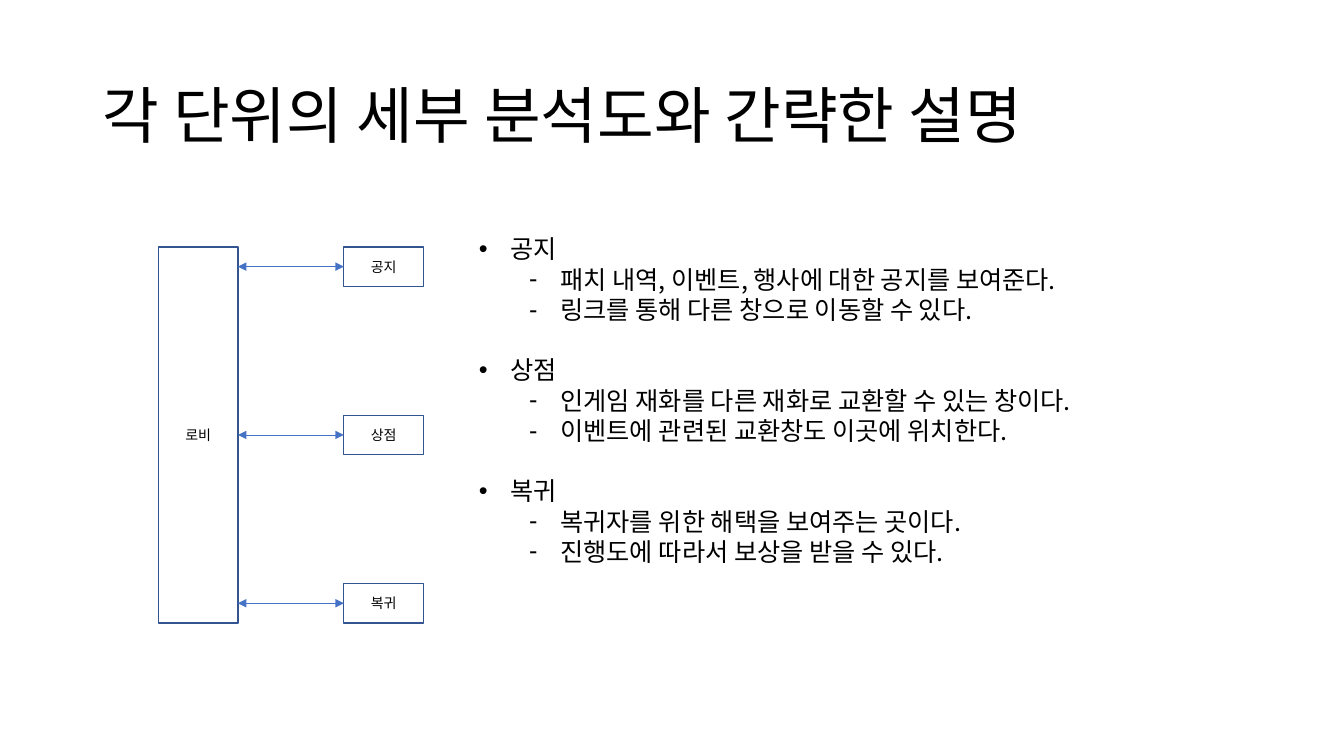
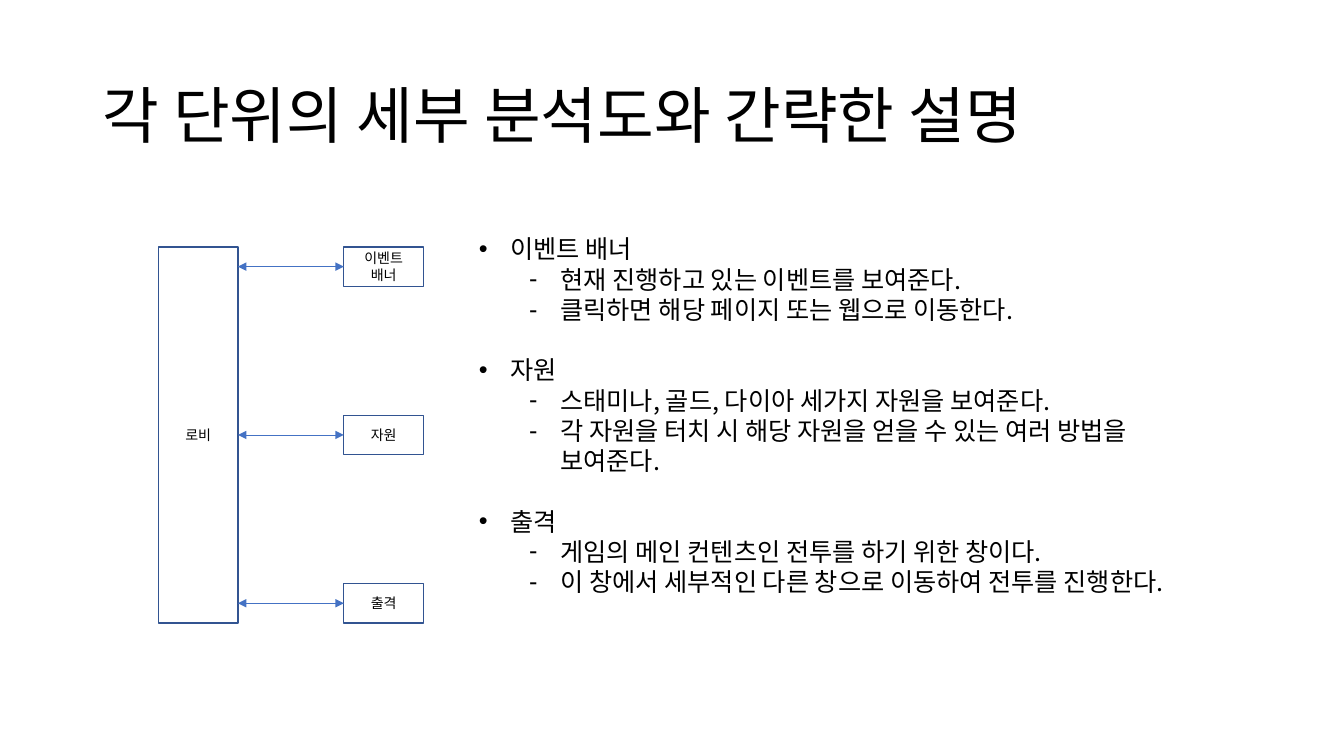
"""Build two slides that map lobby units and describe each one."""
from dataclasses import dataclass

from lxml.etree import SubElement
from pptx import Presentation
from pptx.dml.color import RGBColor
from pptx.enum.shapes import MSO_CONNECTOR, MSO_SHAPE
from pptx.enum.text import MSO_ANCHOR, PP_ALIGN
from pptx.oxml.ns import qn
from pptx.util import Inches, Pt


@dataclass(frozen=True)
class Theme:
    font: str = "Noto Sans CJK KR"
    ink: RGBColor = RGBColor(0, 0, 0)
    paper: RGBColor = RGBColor(255, 255, 255)
    border: RGBColor = RGBColor.from_string("325491")
    arrow: RGBColor = RGBColor.from_string("4472C4")
    title_size: int = 44
    body_size: int = 18
    label_size: int = 10
    leading: float = 1.2


theme = Theme()


def write(paragraph, text, size):
    paragraph.text = text
    paragraph.line_spacing = Pt(size * theme.leading)
    for run in paragraph.runs:
        run.font.size = Pt(size)
        run.font.color.rgb = theme.ink
        run.font.name = theme.font
        SubElement(run._r.get_or_add_rPr(), qn("a:ea"), typeface=theme.font)


def add_unit(slide, label, top, left, height):
    unit = slide.shapes.add_shape(MSO_SHAPE.RECTANGLE, Inches(left), Inches(top),
                                  Inches(UNIT_WIDTH), Inches(height))
    unit.shadow.inherit = False
    unit.fill.solid()
    unit.fill.fore_color.rgb = theme.paper
    unit.line.color.rgb = theme.border
    unit.line.width = Pt(1)
    unit.text_frame.word_wrap = True
    unit.text_frame.vertical_anchor = MSO_ANCHOR.MIDDLE
    caption = unit.text_frame.paragraphs[0]
    write(caption, label, theme.label_size)
    caption.alignment = PP_ALIGN.CENTER
    return unit


TITLE = "각 단위의 세부 분석도와 간략한 설명"
LOBBY = "로비"
UNIT_WIDTH, UNIT_HEIGHT, UNIT_PITCH = 0.79, 0.39, 1.67
MAP_TOP, LOBBY_LEFT, UNIT_LEFT = 2.45, 1.57, 3.41
BULLETS = [("•", 0.31), ("-", 0.81)]
HANGING = 0.31

pages = [
    {
        "공지": ["패치 내역, 이벤트, 행사에 대한 공지를 보여준다.",
               "링크를 통해 다른 창으로 이동할 수 있다."],
        "상점": ["인게임 재화를 다른 재화로 교환할 수 있는 창이다.",
               "이벤트에 관련된 교환창도 이곳에 위치한다."],
        "복귀": ["복귀자를 위한 해택을 보여주는 곳이다.",
               "진행도에 따라서 보상을 받을 수 있다."],
    },
    {
        "이벤트 배너": ["현재 진행하고 있는 이벤트를 보여준다.",
                   "클릭하면 해당 페이지 또는 웹으로 이동한다."],
        "자원": ["스태미나, 골드, 다이아 세가지 자원을 보여준다.",
               "각 자원을 터치 시 해당 자원을 얻을 수 있는 여러 방법을 보여준다."],
        "출격": ["게임의 메인 컨텐츠인 전투를 하기 위한 창이다.",
               "이 창에서 세부적인 다른 창으로 이동하여 전투를 진행한다."],
    },
]

deck = Presentation()
deck.slide_width, deck.slide_height = Inches(13.33), Inches(7.5)

for units in pages:
    slide = deck.slides.add_slide(deck.slide_layouts[6])

    heading = slide.shapes.add_textbox(Inches(0.92), Inches(0.4), Inches(11.5), Inches(1.45)).text_frame
    heading.word_wrap = True
    heading.vertical_anchor = MSO_ANCHOR.MIDDLE
    write(heading.paragraphs[0], TITLE, theme.title_size)

    notes = slide.shapes.add_textbox(Inches(4.65), Inches(2.27), Inches(7.25), Inches(3.73)).text_frame
    notes.word_wrap = True
    lines = [(level, text) for name, details in units.items()
             for level, text in [(0, name)] + [(1, detail) for detail in details]]
    for index, (level, text) in enumerate(lines):
        item = notes.add_paragraph() if index else notes.paragraphs[0]
        write(item, text, theme.body_size)
        item.level = level
        if index and level == 0:
            item.space_before = Pt(theme.body_size * theme.leading)
        mark, margin = BULLETS[level]
        properties = item._p.get_or_add_pPr()
        properties.set("marL", str(Inches(margin)))
        properties.set("indent", str(-Inches(HANGING)))
        SubElement(properties, qn("a:buFont"), typeface="Arial")
        SubElement(properties, qn("a:buChar"), char=mark)

    lobby_height = UNIT_PITCH * (len(units) - 1) + UNIT_HEIGHT
    add_unit(slide, LOBBY, MAP_TOP, LOBBY_LEFT, lobby_height)
    for row, name in enumerate(units):
        top = MAP_TOP + row * UNIT_PITCH
        middle = Inches(top + UNIT_HEIGHT / 2)
        unit = add_unit(slide, name, top, UNIT_LEFT, UNIT_HEIGHT)
        link = slide.shapes.add_connector(MSO_CONNECTOR.STRAIGHT, Inches(LOBBY_LEFT + UNIT_WIDTH),
                                          middle, Inches(UNIT_LEFT), middle)
        link.end_connect(unit, 1)
        link.line.color.rgb = theme.arrow
        link.line.width = Pt(0.5)
        for end in ("a:headEnd", "a:tailEnd"):
            SubElement(link.line._get_or_add_ln(), qn(end), type="triangle")
        SubElement(link._element.spPr, qn("a:effectLst"))

deck.save("out.pptx")
